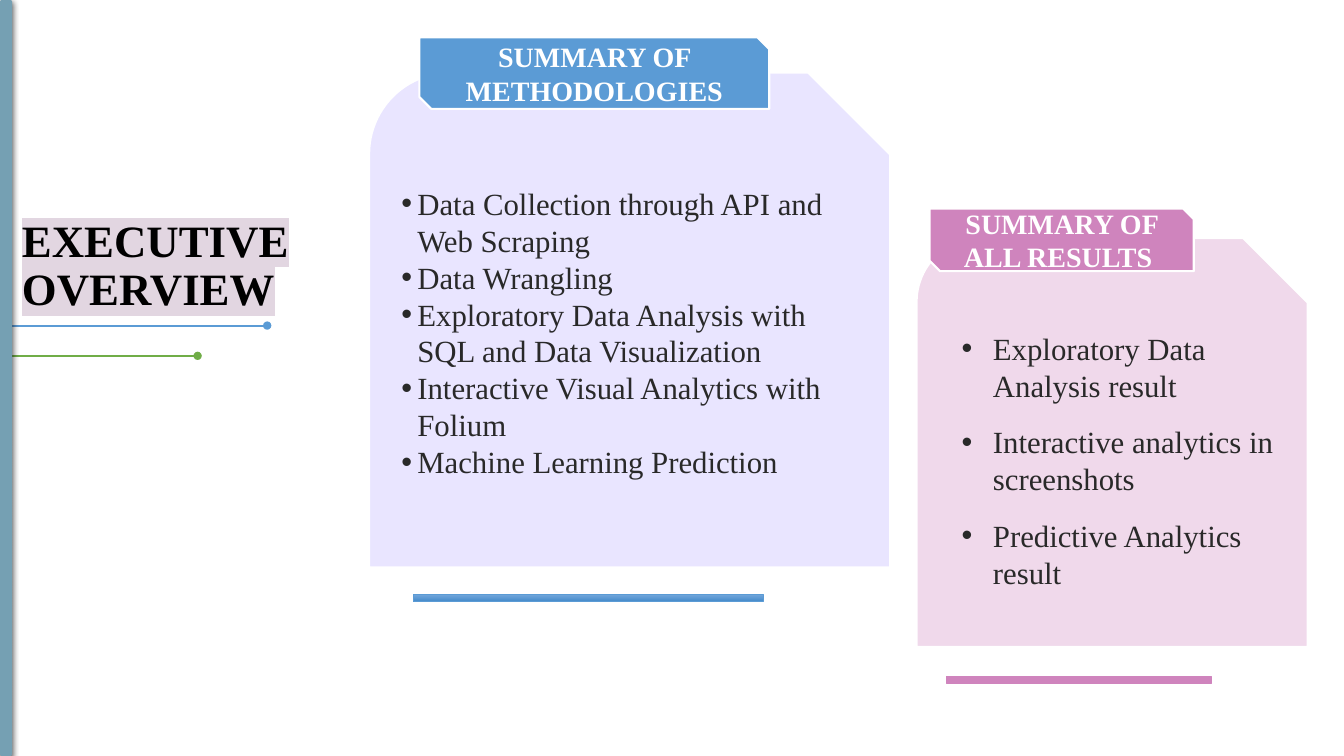
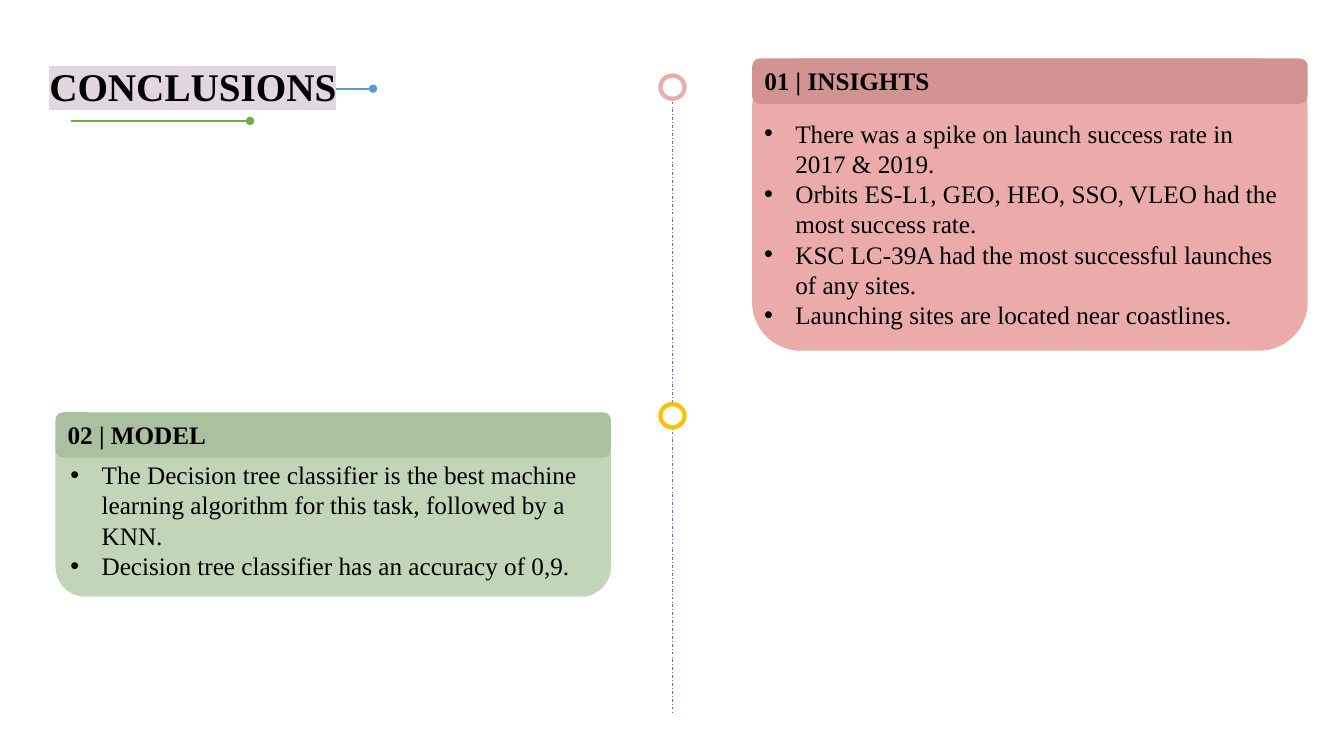
from lxml import etree
from pptx import Presentation
from pptx import util as u
from pptx.dml import color
from pptx.enum import dml, shapes, text
from pptx.oxml import ns

SHAPE = shapes.MSO_SHAPE
ANCHOR = text.MSO_ANCHOR
BLUE, GREEN, ORCHID = "5B9BD5", "70AD47", "CF84BD"
WHITE, BLACK, BODY = "FFFFFF", "000000", "292929"


def rgb(value):
    return color.RGBColor.from_string(value)


def add_xml(parent, tag, **attributes):
    return etree.SubElement(parent, ns.qn(tag), attributes)


class Deck:
    """Holds the shared style and the slide being built."""

    font = "Times New Roman"
    highlight = "E2D6E1"

    def __init__(self):
        self.prs = Presentation()
        self.prs.slide_width = u.Inches(13.33)
        self.prs.slide_height = u.Inches(7.5)
        self.slide = None

    def new_slide(self):
        self.slide = self.prs.slides.add_slide(self.prs.slide_layouts[6])

    def styled_run(self, paragraph, words, size, ink, bold=False):
        run = paragraph.add_run()
        run.text = words
        run.font.size = u.Pt(size)
        run.font.bold = bold
        run.font.color.rgb = rgb(ink)
        run.font.name = self.font
        return run

    def shape(self, kind, box, fill, line=None, width=1.0, opacity=None):
        item = self.slide.shapes.add_shape(kind, *map(u.Inches, box))
        item.shadow.inherit = False
        item.fill.solid()
        item.fill.fore_color.rgb = rgb(fill)
        if opacity:
            solid = item.element.spPr.find(ns.qn("a:solidFill"))
            add_xml(solid[0], "a:alpha", val=str(opacity * 1000))
        if line:
            item.line.color.rgb = rgb(line)
            item.line.width = u.Pt(width)
        else:
            item.line.fill.background()
        return item

    def text_box(self, box, anchor=ANCHOR.TOP):
        frame = self.slide.shapes.add_textbox(*map(u.Inches, box)).text_frame
        frame.word_wrap = True
        frame.vertical_anchor = anchor
        return frame

    def title(self, words, box, size):
        paragraph = self.text_box(box, ANCHOR.MIDDLE).paragraphs[0]
        paragraph.line_spacing = 0.9
        paragraph.space_after = u.Pt(6)
        run = self.styled_run(paragraph, words, size, BLACK, bold=True)
        properties = run._r.get_or_add_rPr()
        mark = add_xml(properties, "a:highlight")
        add_xml(mark, "a:srgbClr", val=self.highlight)
        properties.find(ns.qn("a:solidFill")).addnext(mark)

    def bullets(self, frame, items, size, ink, margin, hanging, before=0):
        for index, words in enumerate(items):
            paragraph = frame.add_paragraph() if index else frame.paragraphs[0]
            paragraph.alignment = text.PP_ALIGN.LEFT
            paragraph.space_before = u.Pt(before)
            self.styled_run(paragraph, words, size, ink)
            properties = paragraph._p.get_or_add_pPr()
            properties.set("marL", str(u.Inches(margin)))
            properties.set("indent", str(-u.Inches(hanging)))
            add_xml(properties, "a:buFont", typeface="Arial")
            add_xml(properties, "a:buChar", char="•")

    def line(self, start, end, ink, width=1.5, dash=None, dot=True):
        rule = self.slide.shapes.add_connector(
            shapes.MSO_CONNECTOR.STRAIGHT, *map(u.Inches, start + end))
        rule.line.color.rgb = rgb(ink)
        rule.line.width = u.Pt(width)
        if dash:
            rule.line.dash_style = dash
        properties = rule.element.spPr
        if dot:
            add_xml(properties.find(ns.qn("a:ln")), "a:tailEnd", type="oval")
        add_xml(properties, "a:effectLst")

    def side_band(self):
        band = self.shape(SHAPE.ROUNDED_RECTANGLE, (0, 0, 0.12, 7.5), "75A0B3")
        effects = band.element.spPr.find(ns.qn("a:effectLst"))
        shadow = add_xml(effects, "a:outerShdw", blurRad=str(u.Pt(4.5)),
                         dist=str(u.Pt(1.5)), dir="5400000", rotWithShape="0")
        ink = add_xml(shadow, "a:srgbClr", val=BLACK)
        add_xml(ink, "a:alpha", val="63000")

    def card(self, box, fill, opacity):
        return self.shape(SHAPE.SNIP_ROUND_RECTANGLE, box, fill, WHITE, 4.5, opacity)

    def tab(self, words, box, fill):
        tab = self.shape(SHAPE.SNIP_2_DIAG_RECTANGLE, box, fill, WHITE, 1.5)
        paragraph = tab.text_frame.paragraphs[0]
        paragraph.alignment = text.PP_ALIGN.CENTER
        self.styled_run(paragraph, words, 20, WHITE, bold=True)

    def underline(self, left, top, width, ink, gradient=None):
        bar = self.shape(SHAPE.RECTANGLE, (left, top, width, 0.07), ink, ink, 0.5)
        if gradient:
            bar.fill.gradient()
            bar.fill.gradient_angle = 270
            for stop, shade in zip(bar.fill.gradient_stops, gradient):
                stop.color.rgb = rgb(shade)

    def milestone(self, top, ink):
        self.shape(SHAPE.OVAL, (6.55, top, 0.24, 0.23), WHITE, ink, 3)

    def panel(self, heading, left, header_top, body_top, height, fill, header_fill):
        """Rounded panel with a darker heading strip."""
        width = 5.51
        self.shape(SHAPE.ROUNDED_RECTANGLE, (left, body_top, width, height), fill)
        header = self.shape(SHAPE.ROUNDED_RECTANGLE,
                            (left, header_top, width, 0.45), header_fill)
        frame = header.text_frame
        frame.vertical_anchor = ANCHOR.TOP
        frame.paragraphs[0].alignment = text.PP_ALIGN.LEFT
        self.styled_run(frame.paragraphs[0], heading, 18, BLACK, bold=True)

    def findings(self, box, items):
        self.bullets(self.text_box(box), items, 18, BLACK, 0.31, 0.31)


def executive_overview(deck):
    deck.new_slide()
    deck.title("EXECUTIVE OVERVIEW", (0.12, 2.03, 3.2, 1.24), 32)
    deck.line((0, 3.23), (2.65, 3.23), BLUE)
    deck.line((0.07, 3.53), (1.96, 3.53), GREEN)
    deck.side_band()

    methods = deck.card((3.64, 0.7, 5.21, 4.95), "E2DDFF", 75)
    deck.bullets(methods.text_frame, [
        "Data Collection through API and Web Scraping",
        "Data Wrangling",
        "Exploratory Data Analysis with SQL and Data Visualization",
        "Interactive Visual Analytics with Folium",
        "Machine Learning Prediction",
    ], 22, BODY, 0.16, 0.16)
    deck.card((9.07, 2.34, 3.92, 4.1), ORCHID, 30)
    deck.tab("SUMMARY OF METHODOLOGIES", (4.16, 0.37, 3.47, 0.71), BLUE)
    deck.tab("SUMMARY OF ALL RESULTS ", (9.22, 2.07, 2.62, 0.62), ORCHID)
    deck.underline(4.1, 5.9, 3.47, BLUE, ("71A6DB", "448ACA"))
    deck.underline(9.39, 6.71, 2.62, ORCHID)
    results = deck.text_box((8.94, 3.22, 3.91, 2.72))
    deck.bullets(results, [
        "Exploratory Data Analysis result",
        "Interactive analytics in screenshots",
        "Predictive Analytics result",
    ], 22, BODY, 0.81, 0.31, before=14)


def conclusions(deck):
    deck.new_slide()
    deck.line((6.67, 0.93), (6.67, 7.07), "4472C4", 0.5,
              dml.MSO_LINE.DASH_DOT, dot=False)
    deck.milestone(0.75, "EAABAA")
    deck.milestone(4.01, "FFC000")
    deck.panel("01 | INSIGHTS", 7.46, 0.58, 0.58, 2.9, "EAABAA", "D29492")
    deck.panel("02 | MODEL", 0.55, 4.09, 4.13, 1.79, "C2D5B8", "AAC09F")
    deck.line((0.87, 0.88), (3.7, 0.88), BLUE)
    deck.line((0.7, 1.2), (2.48, 1.2), GREEN)
    deck.title("CONCLUSIONS", (0.39, 0.26, 3.31, 1.24), 28)
    deck.findings((0.6, 4.51, 5.38, 1.62), [
        "The Decision tree classifier is the best machine learning algorithm "
        "for this task, followed by a KNN.",
        "Decision tree classifier has an accuracy of 0,9.",
    ])
    deck.findings((7.48, 1.12, 5.38, 2.22), [
        "There was a spike on launch success rate in 2017 & 2019.",
        "Orbits ES-L1, GEO, HEO, SSO, VLEO had the most success rate.",
        "KSC LC-39A had the most successful launches of any sites.",
        "Launching sites are located near coastlines.",
    ])


def main():
    deck = Deck()
    executive_overview(deck)
    conclusions(deck)
    deck.prs.save("out.pptx")


if __name__ == "__main__":
    main()
